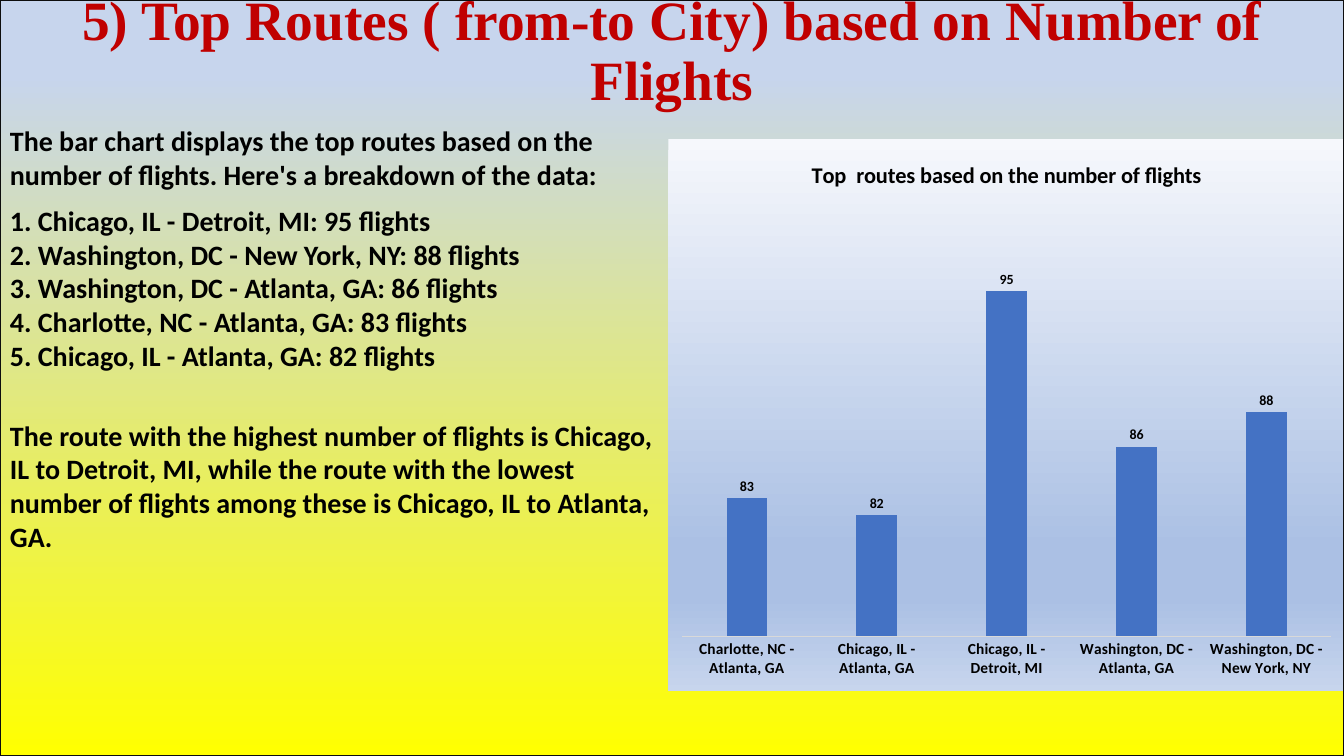
from dataclasses import dataclass

from lxml.etree import SubElement
from pptx import Presentation
from pptx.chart.chart import Chart
from pptx.chart.data import CategoryChartData
from pptx.dml.color import RGBColor
from pptx.enum.chart import XL_CHART_TYPE, XL_LABEL_POSITION, XL_TICK_MARK
from pptx.enum.shapes import MSO_SHAPE
from pptx.enum.text import MSO_ANCHOR, PP_ALIGN
from pptx.oxml import parse_xml
from pptx.oxml.ns import nsdecls, qn
from pptx.slide import Slide
from pptx.text.text import Font
from pptx.util import Inches, Pt


@dataclass(frozen=True)
class Theme:
    heading_font: str = "Times New Roman"
    body_font: str = "Calibri"
    heading_color: str = "C00000"
    text_color: str = "000000"
    bar_color: str = "4472C4"
    axis_color: str = "D9D9D9"
    border_color: str = "0D0D0D"
    heading_size: float = 39.6
    body_size: float = 20
    chart_title_size: float = 16
    category_size: float = 11
    label_size: float = 10
    slide_stops: tuple = ((10, "C7D5ED"), (100, "FFFF00"), (100, "ABC0E4"))
    chart_stops: tuple = ((0, "F6F8FC"), (74, "ABC0E4"), (83, "ABC0E4"), (100, "C7D5ED"))


@dataclass(frozen=True)
class TextBlock:
    left: float
    top: float
    width: float
    height: float
    lines: tuple[str, ...]


@dataclass(frozen=True)
class Route:
    name: str
    flights: int


THEME = Theme()
WIDTH, HEIGHT = 13.33, 7.5

HEADING = TextBlock(0, 0, WIDTH, 1.05, ("5) Top Routes ( from-to City) based on Number of Flights",))
BODY_BLOCKS = (
    TextBlock(0, 1.18, 6.67, 0.77, (
        "The bar chart displays the top routes based on the number of flights. "
        "Here's a breakdown of the data:",
    )),
    TextBlock(0, 1.97, 5.65, 1.78, (
        "1. Chicago, IL - Detroit, MI: 95 flights",
        "2. Washington, DC - New York, NY: 88 flights",
        "3. Washington, DC - Atlanta, GA: 86 flights",
        "4. Charlotte, NC - Atlanta, GA: 83 flights",
        "5. Chicago, IL - Atlanta, GA: 82 flights",
    )),
    TextBlock(0, 4.1, 6.71, 1.45, (
        "The route with the highest number of flights is Chicago, IL to Detroit, MI, "
        "while the route with the lowest number of flights among these is "
        "Chicago, IL to Atlanta, GA.",
    )),
)
ROUTES = (
    Route("Charlotte, NC - Atlanta, GA", 83),
    Route("Chicago, IL - Atlanta, GA", 82),
    Route("Chicago, IL - Detroit, MI", 95),
    Route("Washington, DC - Atlanta, GA", 86),
    Route("Washington, DC - New York, NY", 88),
)


def style_font(font: Font, size: float, name: str = THEME.body_font,
               color: str = THEME.text_color) -> None:
    font.name = name
    font.size = Pt(size)
    font.bold = True
    font.color.rgb = RGBColor.from_string(color)


def gradient_xml(stops: tuple) -> str:
    marks = "".join(
        f'<a:gs pos="{percent * 1000}"><a:srgbClr val="{color}"/></a:gs>'
        for percent, color in stops
    )
    return (f'<a:gradFill {nsdecls("a")} rotWithShape="1"><a:gsLst>{marks}</a:gsLst>'
            '<a:lin ang="5400000" scaled="0"/></a:gradFill>')


def paint_background(slide: Slide) -> None:
    slide.background.fill.gradient()
    plain_gradient = next(slide.element.iter(qn("a:gradFill")))
    plain_gradient.getparent().replace(plain_gradient, parse_xml(gradient_xml(THEME.slide_stops)))


def add_body(slide: Slide, block: TextBlock, name: str = THEME.body_font,
             size: float = THEME.body_size, color: str = THEME.text_color,
             align: PP_ALIGN = PP_ALIGN.LEFT, anchor: MSO_ANCHOR = MSO_ANCHOR.TOP,
             line_spacing: float = 1.0) -> None:
    frame = slide.shapes.add_textbox(
        Inches(block.left), Inches(block.top), Inches(block.width), Inches(block.height)
    ).text_frame
    frame.word_wrap = True
    frame.vertical_anchor = anchor
    frame.text = "\n".join(block.lines)
    for paragraph in frame.paragraphs:
        paragraph.alignment = align
        paragraph.line_spacing = line_spacing
        style_font(paragraph.font, size, name, color)


def paint_chart_area(chart: Chart) -> None:
    chart_area = parse_xml(
        f'<c:spPr {nsdecls("c", "a")}>{gradient_xml(THEME.chart_stops)}'
        '<a:ln><a:noFill/></a:ln></c:spPr>'
    )
    chart.element.find(qn("c:chart")).addnext(chart_area)


def place_plot(chart: Chart) -> None:
    plot_area = next(chart.element.iter(qn("c:plotArea")))
    for automatic in plot_area.findall(qn("c:layout")):
        plot_area.remove(automatic)
    layout = parse_xml(f'<c:layout {nsdecls("c")}/>')
    manual = SubElement(layout, qn("c:manualLayout"))
    settings = {"layoutTarget": "inner", "xMode": "edge", "yMode": "edge",
                "x": "0.02", "y": "0.12", "w": "0.96", "h": "0.78"}
    for setting, value in settings.items():
        SubElement(manual, qn(f"c:{setting}")).set("val", value)
    plot_area.insert(0, layout)


def add_route_chart(slide: Slide) -> None:
    flight_data = CategoryChartData()
    flight_data.categories = [route.name for route in ROUTES]
    flight_data.add_series("Series 1", [route.flights for route in ROUTES])
    chart = slide.shapes.add_chart(
        XL_CHART_TYPE.COLUMN_CLUSTERED, Inches(6.63), Inches(1.38),
        Inches(6.71), Inches(5.48), flight_data
    ).chart
    style_font(chart.font, THEME.label_size)
    chart.has_legend = False
    chart.has_title = True
    chart_title = chart.chart_title.text_frame
    chart_title.text = "Top  routes based on the number of flights"
    style_font(chart_title.paragraphs[0].font, THEME.chart_title_size)

    flights_axis = chart.value_axis
    flights_axis.visible = False
    flights_axis.has_major_gridlines = False
    flights_axis.minimum_scale = 75
    flights_axis.maximum_scale = 100
    route_axis = chart.category_axis
    route_axis.major_tick_mark = XL_TICK_MARK.NONE
    route_axis.format.line.color.rgb = RGBColor.from_string(THEME.axis_color)
    route_axis.format.line.width = Pt(0.75)
    style_font(route_axis.tick_labels.font, THEME.category_size)

    bars = chart.plots[0]
    bars.gap_width = 219
    bars.overlap = -27
    bars.vary_by_categories = False
    flights = bars.series[0]
    flights.format.fill.solid()
    flights.format.fill.fore_color.rgb = RGBColor.from_string(THEME.bar_color)
    flights.data_labels.show_value = True
    flights.data_labels.position = XL_LABEL_POSITION.OUTSIDE_END
    style_font(flights.data_labels.font, THEME.label_size)
    paint_chart_area(chart)
    place_plot(chart)


def add_border(slide: Slide) -> None:
    border = slide.shapes.add_shape(MSO_SHAPE.RECTANGLE, 0, 0, Inches(WIDTH), Inches(HEIGHT))
    border.shadow.inherit = False
    border.fill.background()
    border.line.color.rgb = RGBColor.from_string(THEME.border_color)
    border.line.width = Pt(2)


def main() -> None:
    deck = Presentation()
    deck.slide_width = Inches(WIDTH)
    deck.slide_height = Inches(HEIGHT)
    slide = deck.slides.add_slide(deck.slide_layouts[6])
    paint_background(slide)
    add_body(slide, HEADING, THEME.heading_font, THEME.heading_size, THEME.heading_color,
             PP_ALIGN.CENTER, MSO_ANCHOR.MIDDLE, 0.9)
    for block in BODY_BLOCKS:
        add_body(slide, block)
    add_route_chart(slide)
    add_border(slide)
    deck.save("out.pptx")


if __name__ == "__main__":
    main()
